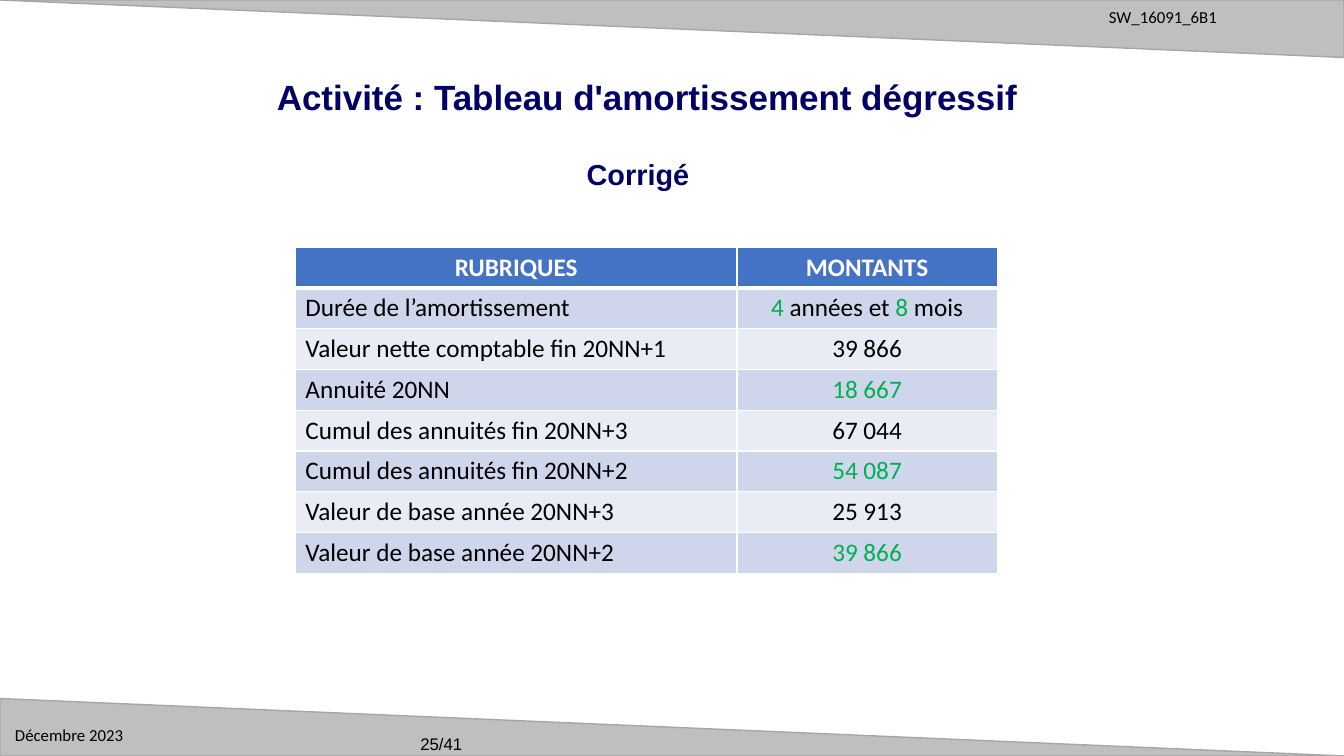
import pptx
import pptx.util
import pptx.dml.color
import pptx.enum.shapes
import pptx.enum.text
import pptx.oxml
import pptx.oxml.ns

Inches, Pt = pptx.util.Inches, pptx.util.Pt
RGBColor = pptx.dml.color.RGBColor
Align = pptx.enum.text.PP_ALIGN
Anchor = pptx.enum.text.MSO_ANCHOR

NAVY = RGBColor(0x00, 0x00, 0x66)
BLACK = RGBColor(0x00, 0x00, 0x00)
WHITE = RGBColor(0xFF, 0xFF, 0xFF)
GREEN = RGBColor(0x00, 0xB0, 0x50)
BAND_GREY = RGBColor(0xBF, 0xBF, 0xBF)
EDGE_GREY = RGBColor(0xA6, 0xA6, 0xA6)
HEADER_BLUE = RGBColor(0x44, 0x72, 0xC4)
ROW_FILLS = [RGBColor(0xCF, 0xD5, 0xEA), RGBColor(0xE9, 0xEB, 0xF5)]

TITLE = "Activité : Tableau d'amortissement dégressif"
LABELS = [
    ("25/41", 4.07, 7.23, 1.0, 0.3, dict(size=12, font="Arial")),
    ("SW_16091_6B1", 10.9, 0.02, 2.39, 0.3, dict(size=12)),
    ("Décembre 2023", 0.05, 7.14, 1.38, 0.3, dict(size=12)),
    ("Corrigé", 5.72, 1.5, 1.38, 0.45,
     dict(size=20.6, font="Arial", color=NAVY, bold=True)),
]
HEADINGS = ("RUBRIQUES", "MONTANTS")
ENTRIES = [
    ("Durée de l’amortissement",
     [("4", GREEN), (" années et ", BLACK), ("8", GREEN), (" mois", BLACK)]),
    ("Valeur nette comptable fin 20NN+1", [("39 866", BLACK)]),
    ("Annuité 20NN", [("18 667", GREEN)]),
    ("Cumul des annuités fin 20NN+3", [("67 044", BLACK)]),
    ("Cumul des annuités fin 20NN+2", [("54 087", GREEN)]),
    ("Valeur de base année 20NN+3", [("25 913", BLACK)]),
    ("Valeur de base année 20NN+2", [("39 866", GREEN)]),
]
SLIDE_WIDTH, SLIDE_HEIGHT, BAND_HEIGHT = 13.33, 7.5, 0.57
TABLE_LEFT, TABLE_TOP, TABLE_HEIGHT = 2.93, 2.45, 3.24
COLUMN_WIDTHS = (4.38, 2.58)


def write(frame, text, size=18, font="Calibri", color=BLACK, bold=False,
          align=Align.LEFT, anchor=Anchor.TOP):
    """Write a string, or a list of (string, colour) pairs, into a text frame."""
    frame.word_wrap = True
    frame.vertical_anchor = anchor
    paragraph = frame.paragraphs[0]
    paragraph.alignment = align
    for words, ink in [(text, color)] if isinstance(text, str) else text:
        run = paragraph.add_run()
        run.text = words
        run.font.size = Pt(size)
        run.font.name = font
        run.font.bold = bold
        run.font.color.rgb = ink


def add_band(slide, top, rotation):
    """Add a grey wedge across the slide."""
    band = slide.shapes.add_shape(
        pptx.enum.shapes.MSO_SHAPE.ISOSCELES_TRIANGLE,
        0, Inches(top), Inches(SLIDE_WIDTH), Inches(BAND_HEIGHT))
    band.adjustments[0] = 0
    band.rotation = rotation
    band.shadow.inherit = False
    band.fill.solid()
    band.fill.fore_color.rgb = BAND_GREY
    band.line.color.rgb = EDGE_GREY
    band.line.width = Pt(1)


def style_cell(cell, fill, top_width, bottom_width):
    """Give a cell its white borders and its fill."""
    properties = cell._tc.get_or_add_tcPr()
    widths = {"lnL": 1, "lnR": 1, "lnT": top_width, "lnB": bottom_width}
    for side, width in widths.items():
        properties.append(pptx.oxml.parse_xml(
            f'<a:{side} {pptx.oxml.ns.nsdecls("a")} w="{Pt(width)}">'
            f'<a:solidFill><a:srgbClr val="{WHITE}"/></a:solidFill></a:{side}>'))
    cell.fill.solid()
    cell.fill.fore_color.rgb = fill


def add_amounts(slide):
    """Add the table of headings and amounts."""
    row_count = len(ENTRIES) + 1
    table = slide.shapes.add_table(
        row_count, len(HEADINGS), Inches(TABLE_LEFT), Inches(TABLE_TOP),
        Inches(sum(COLUMN_WIDTHS)), Inches(TABLE_HEIGHT)).table
    for column, width in zip(table.columns, COLUMN_WIDTHS):
        column.width = Inches(width)
    for row in table.rows:
        row.height = Inches(TABLE_HEIGHT / row_count)
    for index, heading in enumerate(HEADINGS):
        cell = table.cell(0, index)
        write(cell.text_frame, heading, color=WHITE, bold=True, align=Align.CENTER)
        style_cell(cell, HEADER_BLUE, 1, 3)
    for number, (item, amount) in enumerate(ENTRIES, start=1):
        item_cell, amount_cell = table.cell(number, 0), table.cell(number, 1)
        write(item_cell.text_frame, item)
        write(amount_cell.text_frame, amount, align=Align.CENTER)
        amount_cell.vertical_anchor = Anchor.MIDDLE
        for cell in (item_cell, amount_cell):
            style_cell(cell, ROW_FILLS[(number - 1) % 2], 3 if number == 1 else 1, 1)


def main():
    """Build the slide and save it."""
    deck = pptx.Presentation()
    deck.slide_width = Inches(SLIDE_WIDTH)
    deck.slide_height = Inches(SLIDE_HEIGHT)
    slide = deck.slides.add_slide(deck.slide_layouts[5])
    add_band(slide, 0, 180)
    add_band(slide, SLIDE_HEIGHT - BAND_HEIGHT, 0)
    for text, left, top, width, height, style in LABELS:
        label = slide.shapes.add_textbox(
            Inches(left), Inches(top), Inches(width), Inches(height))
        write(label.text_frame, text, **style)
    title = slide.shapes.title
    title.left, title.top = Inches(1.9), Inches(0.7)
    title.width, title.height = Inches(9.03), Inches(0.52)
    write(title.text_frame, TITLE, size=25, font="Arial", color=NAVY, bold=True,
          align=Align.CENTER, anchor=Anchor.MIDDLE)
    add_amounts(slide)
    deck.save("out.pptx")


if __name__ == "__main__":
    main()
